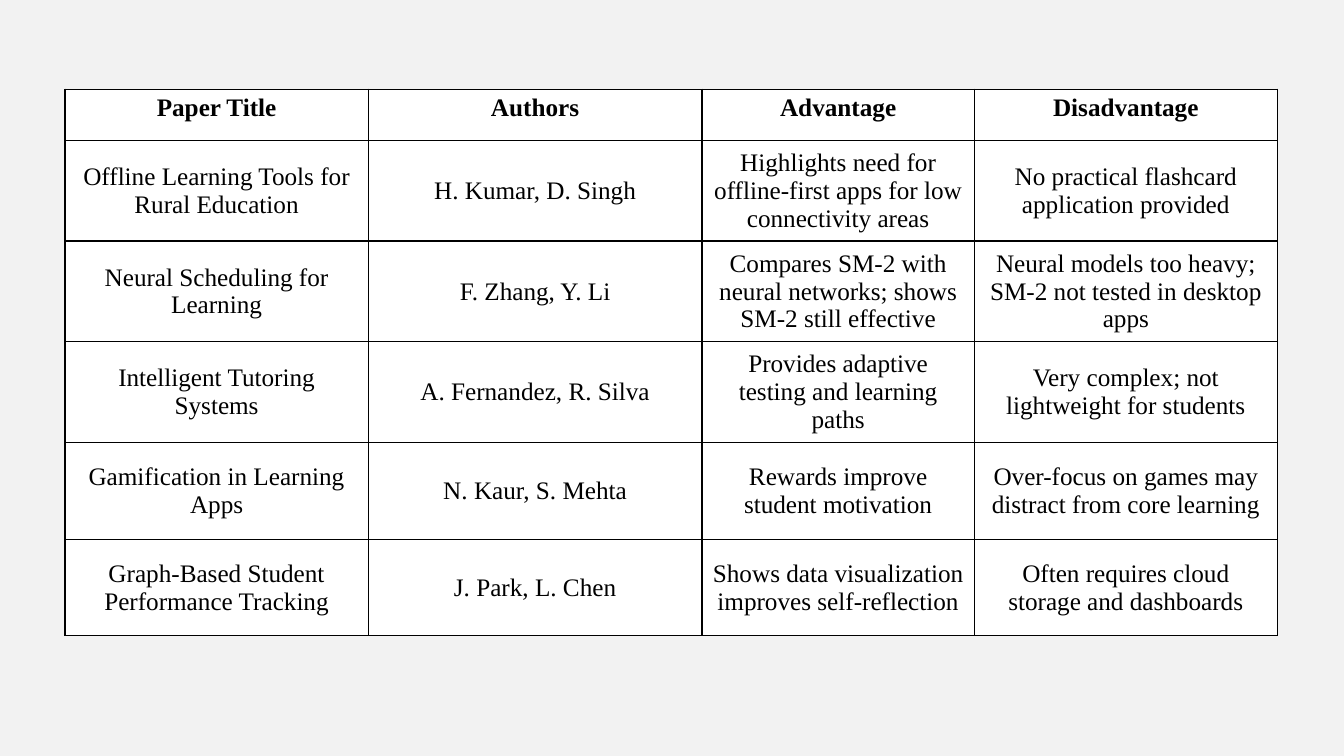
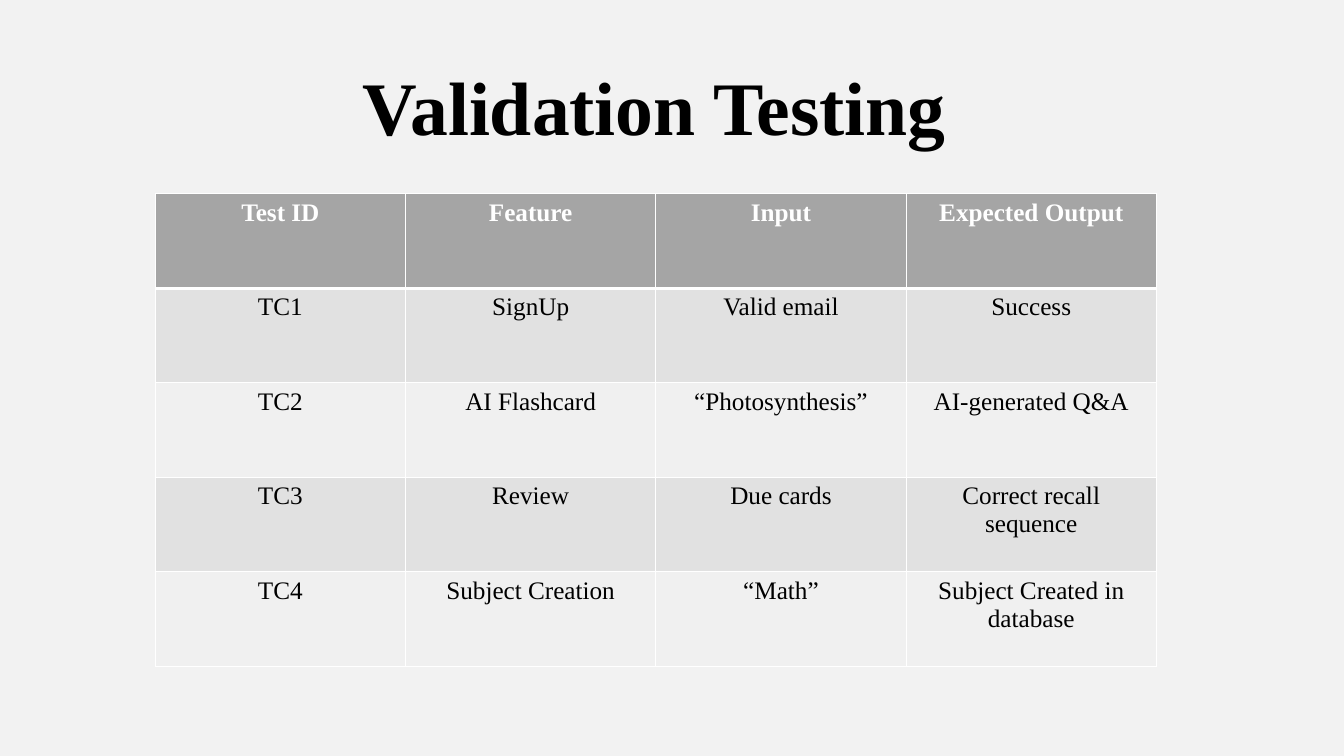
from lxml.etree import SubElement
from pptx import Presentation
from pptx.dml.color import RGBColor
from pptx.enum.text import MSO_ANCHOR, MSO_AUTO_SIZE, PP_ALIGN
from pptx.oxml.ns import qn
from pptx.util import Pt

COLORS = {
    "background": "F2F2F2",
    "black": "000000",
    "white": "FFFFFF",
    "header": "A5A5A5",
    "dark_band": "E1E1E1",
    "light_band": "F0F0F0",
}
FONT = "Times New Roman"

PAPERS = [
    ("Paper Title", "Authors", "Advantage", "Disadvantage"),
    ("Offline Learning Tools for Rural Education", "H. Kumar, D. Singh",
     "Highlights need for offline-first apps for low connectivity areas",
     "No practical flashcard application provided"),
    ("Neural Scheduling for Learning", "F. Zhang, Y. Li",
     "Compares SM-2 with neural networks; shows SM-2 still effective",
     "Neural models too heavy; SM-2 not tested in desktop apps"),
    ("Intelligent Tutoring Systems", "A. Fernandez, R. Silva",
     "Provides adaptive testing and learning paths",
     "Very complex; not lightweight for students"),
    ("Gamification in Learning Apps", "N. Kaur, S. Mehta",
     "Rewards improve student motivation",
     "Over-focus on games may distract from core learning"),
    ("Graph-Based Student Performance Tracking", "J. Park, L. Chen",
     "Shows data visualization improves self-reflection",
     "Often requires cloud storage and dashboards"),
]
TEST_CASES = [
    ("Test ID", "Feature", "Input", "Expected Output"),
    ("TC1", "SignUp", "Valid email", "Success"),
    ("TC2", "AI Flashcard", "“Photosynthesis”", "AI-generated Q&A"),
    ("TC3", "Review", "Due cards", "Correct recall sequence"),
    ("TC4", "Subject Creation", "“Math”", "Subject Created in database"),
]


def rgb(name):
    return RGBColor.from_string(COLORS[name])


def style_font(paragraph, size, color, bold):
    font = paragraph.font
    font.name, font.size, font.bold = FONT, Pt(size), bold
    font.color.rgb = rgb(color)


def set_borders(cell, color, top, bottom):
    properties = cell._tc.get_or_add_tcPr()
    for side, width in (("L", 1), ("R", 1), ("T", top), ("B", bottom)):
        line = SubElement(properties, qn(f"a:ln{side}"), w=str(Pt(width)))
        fill = SubElement(line, qn("a:solidFill"))
        SubElement(fill, qn("a:srgbClr"), val=COLORS[color])


def add_grid(slide, left, top, widths, heights, rows, header_fill, header_text,
             bands, border, header_rule=1, body_anchor=MSO_ANCHOR.TOP):
    table = slide.shapes.add_table(
        len(rows), len(widths), Pt(left), Pt(top),
        Pt(sum(widths)), Pt(sum(heights))).table
    for column, width in zip(table.columns, widths):
        column.width = Pt(width)
    for row, height in zip(table.rows, heights):
        row.height = Pt(height)
    for row_index, texts in enumerate(rows):
        is_header = row_index == 0
        fill = header_fill if is_header else bands[(row_index - 1) % len(bands)]
        for column_index, text in enumerate(texts):
            cell = table.cell(row_index, column_index)
            set_borders(cell, border, header_rule if row_index == 1 else 1,
                        header_rule if is_header else 1)
            cell.fill.solid()
            cell.fill.fore_color.rgb = rgb(fill)
            cell.vertical_anchor = MSO_ANCHOR.TOP if is_header else body_anchor
            cell.text = text
            paragraph = cell.text_frame.paragraphs[0]
            paragraph.alignment = PP_ALIGN.CENTER
            style_font(paragraph, 18, header_text if is_header else "black", is_header)


def add_title(slide, left, top, width, height, text):
    frame = slide.shapes.add_textbox(
        Pt(left), Pt(top), Pt(width), Pt(height)).text_frame
    frame.word_wrap = True
    frame.auto_size = MSO_AUTO_SIZE.SHAPE_TO_FIT_TEXT
    frame.text = text
    style_font(frame.paragraphs[0], 54, "black", True)


def build_papers(slide):
    add_grid(slide, 46.5, 63.7, [216.5, 238.5, 194.5, 216.5],
             [36.5] + [72] * 3 + [69] * 2, PAPERS, "white", "black",
             ["white"], "black", body_anchor=MSO_ANCHOR.MIDDLE)


def build_validation(slide):
    add_title(slide, 252, 38.9, 530.6, 72.7, "Validation Testing")
    add_grid(slide, 110.9, 138.5, [178.8] * 4, [67.5] * 5, TEST_CASES,
             "header", "white", ["dark_band", "light_band"], "white", header_rule=3)


def main():
    presentation = Presentation()
    presentation.slide_width, presentation.slide_height = Pt(960), Pt(540)
    background = presentation.slide_master.background.fill
    background.solid()
    background.fore_color.rgb = rgb("background")
    for build in (build_papers, build_validation):
        build(presentation.slides.add_slide(presentation.slide_layouts[6]))
    presentation.save("out.pptx")


if __name__ == "__main__":
    main()
